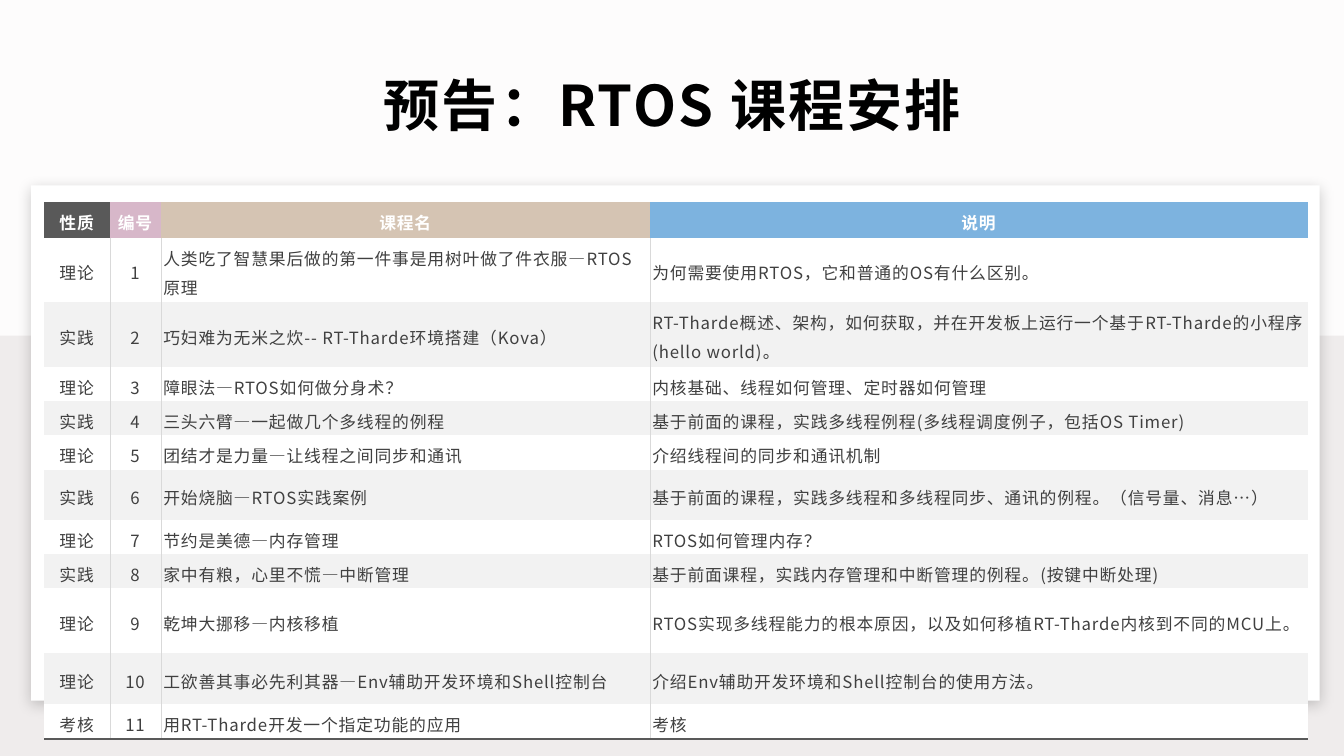
from dataclasses import dataclass, field
from typing import Any

from lxml import etree
from pptx import Presentation
from pptx import util as u
from pptx.dml import color as col
from pptx.enum import shapes, text
from pptx.oxml import ns

FONT = "Noto Sans CJK SC"
NO_STYLE = "{2D5ABB26-0587-4C30-8999-92F81FD0307C}"
HEX = {
    "back": "FDFCFC", "floor": "EFECEC", "white": "FFFFFF", "band": "F2F2F2",
    "black": "000000", "ink": "404040", "dark": "595959", "rule": "D9D9D9",
    "pink": "D7B7C9", "sand": "D5C4B3", "blue": "7DB3DF",
}
MID = text.PP_ALIGN.CENTER
LEFT = text.PP_ALIGN.LEFT
TALL = 0.64


@dataclass
class Style:
    size: float
    tint: str
    bold: bool
    track: int
    para: dict[str, Any] = field(default_factory=dict)


@dataclass
class Panel:
    left: float
    top: float
    width: float
    height: float
    fill: str
    shade: bool = False


@dataclass
class Column:
    head: str
    width: float
    fill: str
    align: Any


@dataclass
class Lesson:
    kind: str
    name: str
    note: str
    height: float = 0.34


PANELS = [
    Panel(0, 3.33, 13.33, 4.17, "floor"),
    Panel(0.31, 1.84, 12.78, 5.11, "white", True),
]
COLUMNS = [
    Column("性质", 0.65, "dark", MID),
    Column("编号", 0.51, "pink", MID),
    Column("课程名", 4.85, "sand", LEFT),
    Column("说明", 6.52, "blue", LEFT),
]
LESSONS = [
    Lesson("理论", "人类吃了智慧果后做的第一件事是用树叶做了件衣服—RTOS原理",
           "为何需要使用RTOS，它和普通的OS有什么区别。", TALL),
    Lesson("实践", "巧妇难为无米之炊-- RT-Tharde环境搭建（Kova）",
           "RT-Tharde概述、架构，如何获取，并在开发板上运行一个基于RT-Tharde的小程序(hello world)。", TALL),
    Lesson("理论", "障眼法—RTOS如何做分身术？", "内核基础、线程如何管理、定时器如何管理"),
    Lesson("实践", "三头六臂—一起做几个多线程的例程",
           "基于前面的课程，实践多线程例程(多线程调度例子，包括OS Timer)"),
    Lesson("理论", "团结才是力量—让线程之间同步和通讯", "介绍线程间的同步和通讯机制"),
    Lesson("实践", "开始烧脑—RTOS实践案例",
           "基于前面的课程，实践多线程和多线程同步、通讯的例程。（信号量、消息…）", 0.5),
    Lesson("理论", "节约是美德—内存管理", "RTOS如何管理内存？"),
    Lesson("实践", "家中有粮，心里不慌—中断管理",
           "基于前面课程，实践内存管理和中断管理的例程。(按键中断处理)"),
    Lesson("理论", "乾坤大挪移—内核移植",
           "RTOS实现多线程能力的根本原因，以及如何移植RT-Tharde内核到不同的MCU上。", TALL),
    Lesson("理论", "工欲善其事必先利其器—Env辅助开发环境和Shell控制台",
           "介绍Env辅助开发环境和Shell控制台的使用方法。", 0.51),
    Lesson("考核", "用RT-Tharde开发一个指定功能的应用", "考核"),
]
TITLE = Style(40, "black", True, 160)
HEAD = Style(12, "white", True, 60, {"line_spacing": 1.2})
BODY = Style(12, "ink", False, 60, {"line_spacing": 1.2})


def paint(fill: Any, name: str) -> None:
    fill.solid()
    fill.fore_color.rgb = col.RGBColor.from_string(HEX[name])


def apply(item: Any, values: dict[str, Any]) -> None:
    for key, value in values.items():
        setattr(item, key, value)


def add(base: Any, tag: str, **values: Any) -> Any:
    node = etree.SubElement(base, ns.qn(tag))
    for key, value in values.items():
        node.set(key, str(value))
    return node


def write(frame: Any, words: str, style: Style, align: Any) -> None:
    para = frame.paragraphs[0]
    apply(para, {"alignment": align, **style.para})
    run = para.add_run()
    run.text = words
    apply(run.font, {"name": FONT, "size": u.Pt(style.size), "bold": style.bold})
    paint(run.font.fill, style.tint)
    props = run._r.get_or_add_rPr()
    props.set("spc", str(style.track))
    add(props, "a:ea", typeface=FONT)


def edge(cell: Any, side: str, tint: str, width: float) -> None:
    line = add(cell._tc.get_or_add_tcPr(), "a:ln" + side, w=int(u.Pt(width)))
    add(add(line, "a:solidFill"), "a:srgbClr", val=HEX[tint])


def draw_panel(slide: Any, panel: Panel) -> None:
    box = slide.shapes.add_shape(
        shapes.MSO_SHAPE.RECTANGLE, u.Inches(panel.left), u.Inches(panel.top),
        u.Inches(panel.width), u.Inches(panel.height))
    paint(box.fill, panel.fill)
    box.line.fill.background()
    box.shadow.inherit = False
    if panel.shade:
        glow = add(box._element.spPr.find(ns.qn("a:effectLst")), "a:outerShdw",
                   blurRad=int(u.Pt(10)), dist=int(u.Pt(3)), dir=90 * 60000,
                   algn="t", rotWithShape=0)
        add(add(glow, "a:srgbClr", val=HEX["black"]), "a:alpha", val=20000)


def draw_title(slide: Any) -> None:
    frame = slide.shapes.add_textbox(
        u.Inches(0.67), u.Inches(0.67), u.Inches(12), u.Inches(0.83)).text_frame
    apply(frame, {
        "word_wrap": True, "margin_left": u.Inches(0.07), "margin_right": u.Inches(0.07),
        "margin_top": u.Inches(0.03), "margin_bottom": u.Inches(0.03)})
    write(frame, "预告：RTOS 课程安排", TITLE, MID)


def draw_cell(cell: Any, words: str, row: int, place: int) -> None:
    column = COLUMNS[place]
    pad = u.Inches(0.03)
    apply(cell, {
        "vertical_anchor": text.MSO_ANCHOR.MIDDLE, "margin_left": u.Inches(0.02),
        "margin_right": pad, "margin_top": pad, "margin_bottom": pad})
    if row == 0:
        paint(cell.fill, column.fill)
        write(cell.text_frame, words, HEAD, MID)
        return
    if place:
        edge(cell, "L", "rule", 0.5)
    if place < len(COLUMNS) - 1:
        edge(cell, "R", "rule", 0.5)
    if row == len(LESSONS):
        edge(cell, "B", "dark", 1.5)
    paint(cell.fill, "white" if row % 2 else "band")
    write(cell.text_frame, words, BODY, column.align)


def draw_table(slide: Any) -> None:
    rows = [[c.head for c in COLUMNS]]
    rows += [[x.kind, str(n), x.name, x.note] for n, x in enumerate(LESSONS, 1)]
    tall = [0.36] + [x.height for x in LESSONS]
    table = slide.shapes.add_table(
        len(rows), len(COLUMNS), u.Inches(0.44), u.Inches(2),
        u.Inches(sum(c.width for c in COLUMNS)), u.Inches(sum(tall))).table
    apply(table, {"first_row": False, "horz_banding": False})
    table._tbl.tblPr.find(ns.qn("a:tableStyleId")).text = NO_STYLE
    for place, column in enumerate(COLUMNS):
        table.columns[place].width = u.Inches(column.width)
    for row, words in enumerate(rows):
        table.rows[row].height = u.Inches(tall[row])
        for place, word in enumerate(words):
            draw_cell(table.cell(row, place), word, row, place)


def main() -> None:
    deck = Presentation()
    apply(deck, {"slide_width": u.Inches(13.33), "slide_height": u.Inches(7.5)})
    slide = deck.slides.add_slide(deck.slide_layouts[6])
    paint(slide.background.fill, "back")
    for panel in PANELS:
        draw_panel(slide, panel)
    draw_title(slide)
    draw_table(slide)
    deck.save("out.pptx")


if __name__ == "__main__":
    main()
